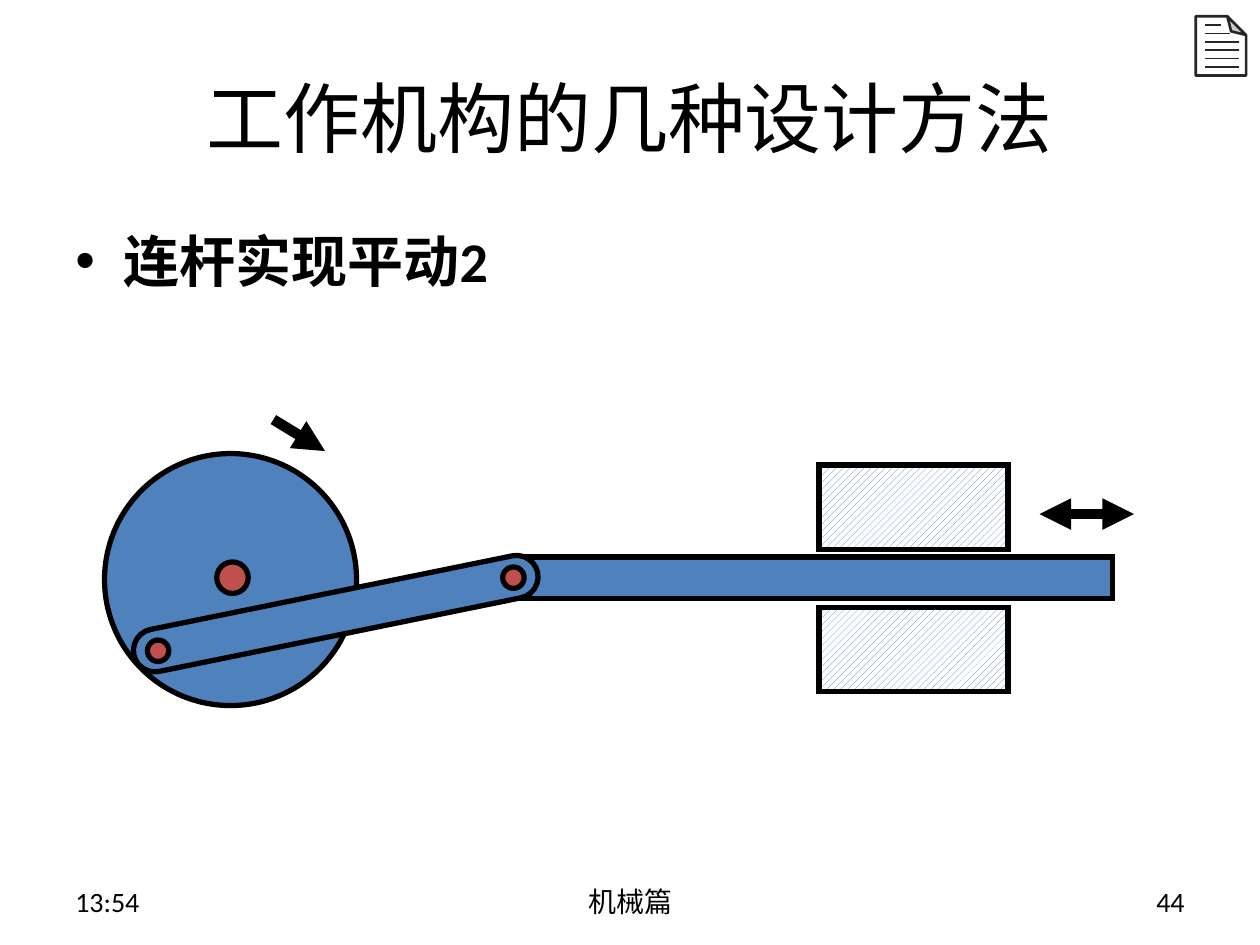
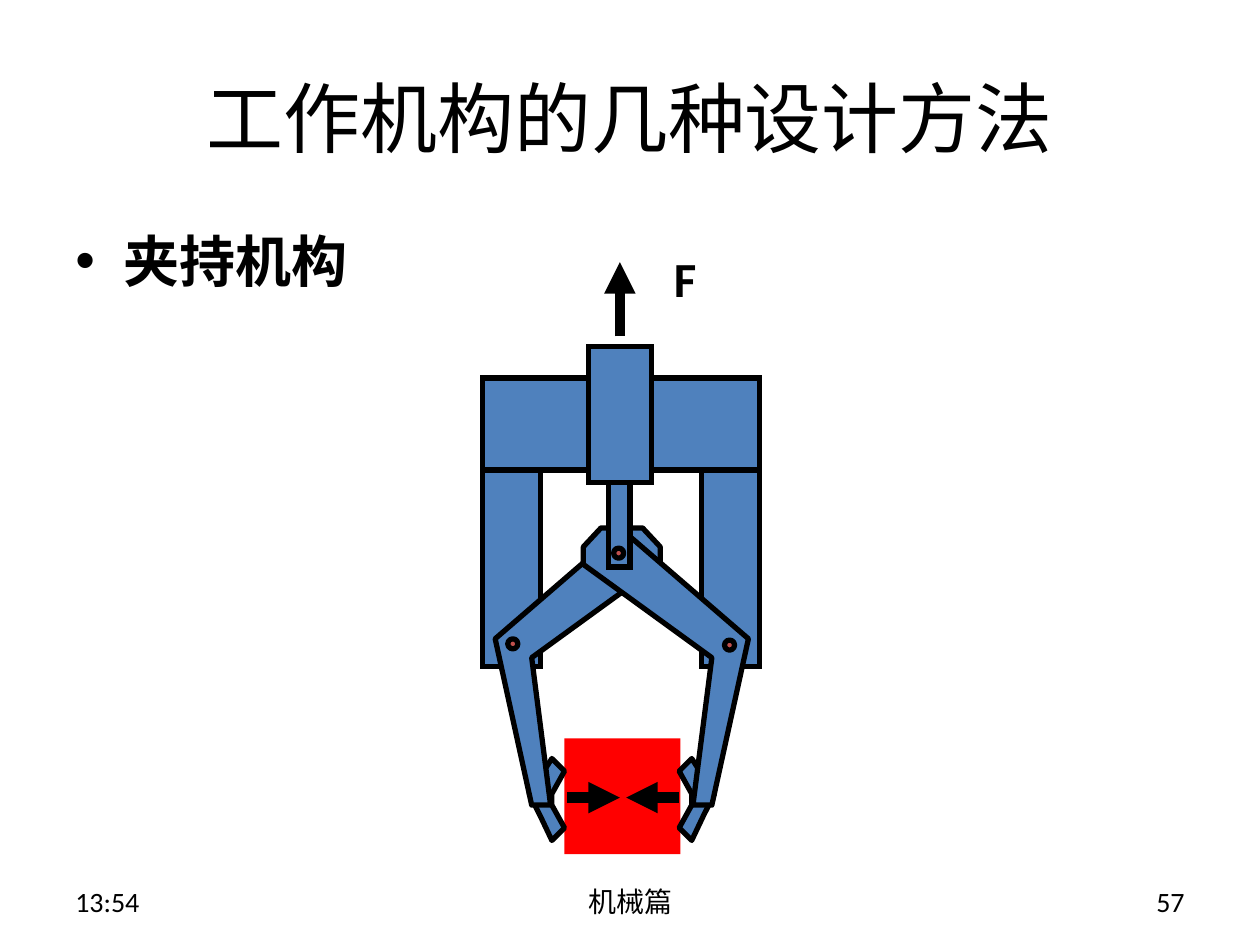
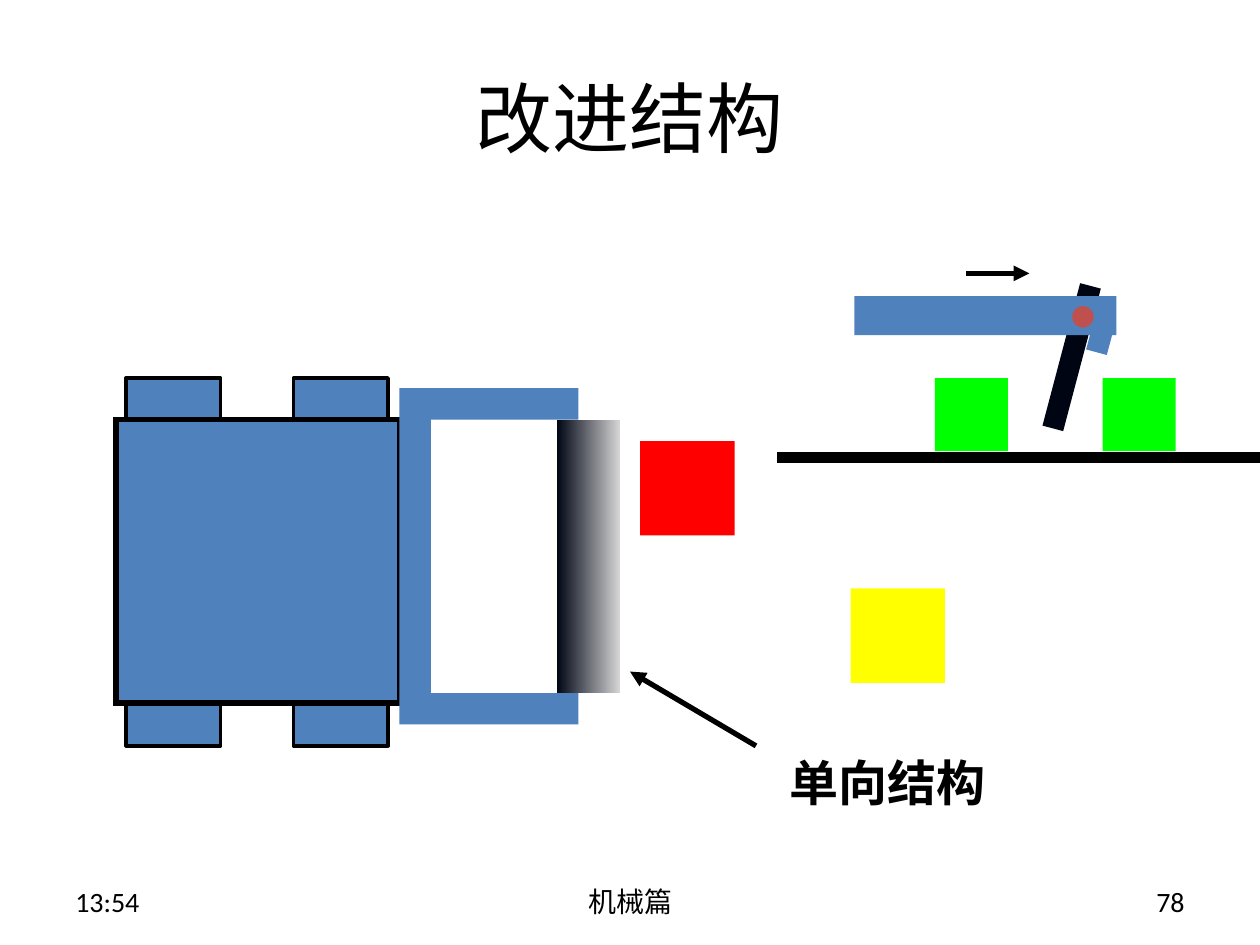
from dataclasses import dataclass

from lxml import etree
from pptx import Presentation
from pptx.dml.color import RGBColor
from pptx.enum.dml import MSO_PATTERN
from pptx.enum.shapes import MSO_CONNECTOR, MSO_SHAPE
from pptx.enum.text import MSO_ANCHOR, PP_ALIGN
from pptx.oxml.ns import qn
from pptx.util import Inches, Pt

RECTANGLE = MSO_SHAPE.RECTANGLE
ELLIPSE = MSO_SHAPE.OVAL
ROUNDED = MSO_SHAPE.ROUNDED_RECTANGLE
FOLDED = MSO_SHAPE.FOLDED_CORNER
STRAIGHT = MSO_CONNECTOR.STRAIGHT
HATCH = MSO_PATTERN.WIDE_UPWARD_DIAGONAL
LEFT, CENTER, RIGHT = PP_ALIGN.LEFT, PP_ALIGN.CENTER, PP_ALIGN.RIGHT
TOP, MIDDLE = MSO_ANCHOR.TOP, MSO_ANCHOR.MIDDLE


@dataclass(frozen=True)
class Theme:
    """Colours, fonts, type sizes and line widths of the deck."""
    black: str = "000000"
    white: str = "FFFFFF"
    blue: str = "4F81BD"
    pin: str = "C0504D"
    red: str = "FF0000"
    yellow: str = "FFFF00"
    green: str = "00FF00"
    navy: str = "000514"
    silver: str = "D5D5D5"
    ink: str = "262626"
    latin: str = "Calibri"
    chinese: str = "Noto Sans CJK SC"
    title: int = 44
    body: int = 32
    label: int = 28
    footer: int = 16
    outline: int = 3
    thin: int = 2
    heavy: int = 6


THEME = Theme()
METHODS_TITLE = "工作机构的几种设计方法"
GRIPPER_AXIS = 4.935


def color(value):
    """Turn a hex string into a colour."""
    return RGBColor.from_string(value)


def apply_format(target, values):
    """Set each attribute of the target from a dict."""
    for name, value in values.items():
        setattr(target, name, value)


def add_text(slide, text, box, size, bold=False, font=THEME.latin,
             align=LEFT, anchor=TOP, wrap=True, bullet=False):
    """Add a one-paragraph text box."""
    shape = slide.shapes.add_textbox(*map(Inches, box))
    apply_format(shape.text_frame, {"word_wrap": wrap, "vertical_anchor": anchor})
    paragraph = shape.text_frame.paragraphs[0]
    paragraph.alignment = align
    if bullet:
        properties = paragraph._p.get_or_add_pPr()
        indent = Inches(0.38)
        properties.set("marL", str(indent))
        properties.set("indent", str(-indent))
        etree.SubElement(properties, qn("a:buFont")).set("typeface", "Arial")
        etree.SubElement(properties, qn("a:buChar")).set("char", "•")
    run = paragraph.add_run()
    run.text = text
    apply_format(run.font, {"size": Pt(size), "bold": bold, "name": font})
    run.font.color.rgb = color(THEME.black)
    east_asian = etree.SubElement(run._r.get_or_add_rPr(), qn("a:ea"))
    east_asian.set("typeface", THEME.chinese)


def style_shape(shape, fill, width, line_color=THEME.black):
    """Give a shape a solid fill, an optional outline and no shadow."""
    shape.shadow.inherit = False
    shape.fill.solid()
    shape.fill.fore_color.rgb = color(fill)
    if width:
        shape.line.color.rgb = color(line_color)
        shape.line.width = Pt(width)
    else:
        shape.line.fill.background()


def add_block(slide, box, fill=THEME.blue, width=0, kind=RECTANGLE,
              rotation=0, line_color=THEME.black):
    """Add a preset shape, with sharp corners on heavy rectangles."""
    shape = slide.shapes.add_shape(kind, *map(Inches, box))
    shape.rotation = rotation
    style_shape(shape, fill, width, line_color)
    if kind == RECTANGLE and width >= THEME.outline:
        line = shape.element.spPr.find(qn("a:ln"))
        etree.SubElement(line, qn("a:miter")).set("lim", "800000")
    return shape


def add_disc(slide, left, top, diameter, fill=THEME.pin, width=THEME.outline):
    """Add a circle."""
    add_block(slide, (left, top, diameter, diameter), fill, width, ELLIPSE)


def add_square(slide, left, top, side, fill):
    """Add a square work piece."""
    add_block(slide, (left, top, side, side), fill)


def add_hatched_guide(slide, box):
    """Add a fixed guide with a diagonal hatch."""
    fill = add_block(slide, box, width=THEME.outline).fill
    fill.patterned()
    fill.pattern = HATCH
    fill.fore_color.rgb = color(THEME.blue)
    fill.back_color.rgb = color(THEME.white)


def add_gradient_block(slide, box, colors):
    """Add a rectangle shaded from left to right."""
    fill = add_block(slide, box).fill
    fill.gradient()
    fill.gradient_angle = 0
    for stop, value, position in zip(fill.gradient_stops, colors, (0, 1)):
        stop.color.rgb = color(value)
        stop.position = position


def add_outline(slide, points):
    """Add a closed blue outline through the points."""
    corners = [(Inches(x), Inches(y)) for x, y in points]
    builder = slide.shapes.build_freeform(*corners[0], scale=1.0)
    builder.add_line_segments(corners[1:], close=True)
    style_shape(builder.convert_to_shape(), THEME.blue, THEME.outline)


def add_line(slide, start, end, width, line_color=THEME.black, ends=()):
    """Add a straight line with arrowheads at the named ends."""
    connector = slide.shapes.add_connector(STRAIGHT, *map(Inches, start + end))
    connector.line.color.rgb = color(line_color)
    connector.line.width = Pt(width)
    properties = connector.element.spPr
    line = properties.find(qn("a:ln"))
    for name in ends:
        etree.SubElement(line, qn(f"a:{name}")).set("type", "triangle")
    etree.SubElement(properties, qn("a:effectLst"))


def add_arrow(slide, start, end, width=THEME.heavy, ends=("tailEnd",)):
    """Add a motion or force arrow."""
    add_line(slide, start, end, width, ends=ends)


def add_page_icon(slide):
    """Add the small page symbol in the top corner."""
    page = add_block(slide, (9.49, 0.13, 0.4, 0.47), THEME.white, 1.5,
                     FOLDED, line_color=THEME.ink)
    properties = page.element.spPr
    properties.find(qn("a:xfrm")).set("flipV", "1")
    guides = properties.find(qn("a:prstGeom")).find(qn("a:avLst"))
    fold = etree.SubElement(guides, qn("a:gd"))
    fold.set("name", "adj")
    fold.set("fmla", "val 37200")
    for row, right in enumerate((9.69, 9.76, 9.83, 9.83, 9.83, 9.83)):
        top = 0.2 + row * 0.066
        add_line(slide, (9.56, top), (right, top), 1, THEME.ink)


def start_slide(presentation, title, number, topic=None):
    """Add a blank slide with the title, topic and footers."""
    slide = presentation.slides.add_slide(presentation.slide_layouts[6])
    add_text(slide, title, (0.5, 0.3, 9, 1.25), THEME.title,
             font=THEME.chinese, align=CENTER, anchor=MIDDLE)
    if topic:
        add_text(slide, topic, (0.5, 1.75, 9, 4.95), THEME.body,
                 bold=True, bullet=True)
    footers = (("13:54", 0.5, 2.33, LEFT), ("机械篇", 3.42, 3.17, CENTER),
               (number, 7.17, 2.33, RIGHT))
    for text, left, width, align in footers:
        add_text(slide, text, (left, 6.95, width, 0.4), THEME.footer,
                 align=align, anchor=MIDDLE)
    return slide


def build_crank_slide(presentation):
    """Draw the crank and slider."""
    slide = start_slide(presentation, METHODS_TITLE, "44", "连杆实现平动2")
    add_disc(slide, 0.83, 3.6, 2, THEME.blue)
    add_disc(slide, 1.72, 4.46, 0.25)
    for top in (3.69, 4.82):
        add_hatched_guide(slide, (6.5, top, 1.5, 0.67))
    add_block(slide, (4.08, 4.42, 4.75, 0.33), width=THEME.outline)
    add_arrow(slide, (2.17, 3.33), (2.58, 3.58))
    add_arrow(slide, (8.25, 4.08), (9, 4.08), ends=("headEnd", "tailEnd"))
    rod = add_block(slide, (1.03, 4.7, 3.27, 0.34), width=THEME.outline,
                    kind=ROUNDED, rotation=348.5)
    rod.adjustments[0] = 0.5
    for left, top in ((1.17, 5.08), (3.99, 4.5)):
        add_disc(slide, left, top, 0.17)
    add_page_icon(slide)


def add_mirrored_outlines(slide, points):
    """Add an outline and its reflection in the gripper axis."""
    add_outline(slide, points)
    add_outline(slide, [(2 * GRIPPER_AXIS - x, y) for x, y in points])


def build_gripper_slide(presentation):
    """Draw the gripper holding a work piece."""
    slide = start_slide(presentation, METHODS_TITLE, "57", "夹持机构")
    finger_pad = [(4.38, 6.02), (4.48, 6.12), (4.38, 6.3), (4.38, 6.39),
                  (4.48, 6.57), (4.38, 6.67), (4.29, 6.48), (4.2, 6.3)]
    arm = [(4.22, 6.39), (4.37, 6.39), (4.22, 5.22), (5.24, 4.48),
           (5.24, 4.34), (5.1, 4.19), (4.95, 4.19), (3.93, 5.07)]
    frame = ((3.83, 3, 2.2, 0.73), (3.83, 3.73, 0.46, 1.56),
             (5.57, 3.73, 0.46, 1.56))
    plunger = ((4.83, 3.42, 0.17, 1.08), (4.67, 2.75, 0.5, 1.08))
    add_square(slide, 4.48, 5.86, 0.92, THEME.red)
    add_mirrored_outlines(slide, finger_pad)
    for box in frame:
        add_block(slide, box, width=THEME.outline)
    add_mirrored_outlines(slide, arm)
    for box in plunger:
        add_block(slide, box, width=THEME.outline)
    for left, top in ((4.87, 4.35), (5.75, 5.08), (4.03, 5.07)):
        add_disc(slide, left, top, 0.08)
    add_arrow(slide, (4.92, 2.67), (4.92, 2.08))
    add_text(slide, "F", (5.25, 1.92, 0.44, 0.57), THEME.label,
             bold=True, wrap=False)
    for start, end in ((4.5, 4.92), (5.39, 4.97)):
        add_arrow(slide, (start, 6.33), (end, 6.33))


def build_one_way_slide(presentation):
    """Draw the cart with its one-way flap and the side view."""
    slide = start_slide(presentation, "改进结构", "78")
    add_block(slide, (8.42, 2.25, 0.17, 1.17), THEME.navy, rotation=14.8)
    add_block(slide, (8.65, 2.55, 0.17, 0.25), rotation=15.1)
    for top in (5.38, 2.79):
        for left in (2.54, 1.21):
            add_block(slide, (left, top, 0.33, 0.75), width=THEME.thin,
                      rotation=90)
    add_block(slide, (0.92, 3.33, 2.25, 2.25), width=THEME.outline)
    add_square(slide, 5.08, 3.5, 0.75, THEME.red)
    add_square(slide, 6.75, 4.67, 0.75, THEME.yellow)
    add_text(slide, "单向结构", (6.17, 5.92, 1.76, 0.57), THEME.label,
             bold=True, wrap=False)
    add_block(slide, (3.17, 3.08, 0.25, 2.67))
    for top in (3.08, 5.5):
        add_block(slide, (3.42, top, 1.17, 0.25))
    add_gradient_block(slide, (4.42, 3.33, 0.5, 2.17),
                       (THEME.navy, THEME.silver))
    add_block(slide, (6.78, 2.35, 2.08, 0.31))
    for left in (7.42, 8.75):
        add_square(slide, left, 3, 0.58, THEME.green)
    add_disc(slide, 8.51, 2.43, 0.17, width=0)
    add_arrow(slide, (6, 5.92), (5, 5.33), THEME.outline)
    add_arrow(slide, (7.67, 2.17), (8.17, 2.17), THEME.outline)
    add_line(slide, (6.17, 3.63), (10, 3.63), THEME.heavy)


def main():
    """Build and save the deck."""
    presentation = Presentation()
    presentation.slide_width = Inches(10)
    presentation.slide_height = Inches(7.5)
    build_crank_slide(presentation)
    build_gripper_slide(presentation)
    build_one_way_slide(presentation)
    presentation.save("out.pptx")


if __name__ == "__main__":
    main()
